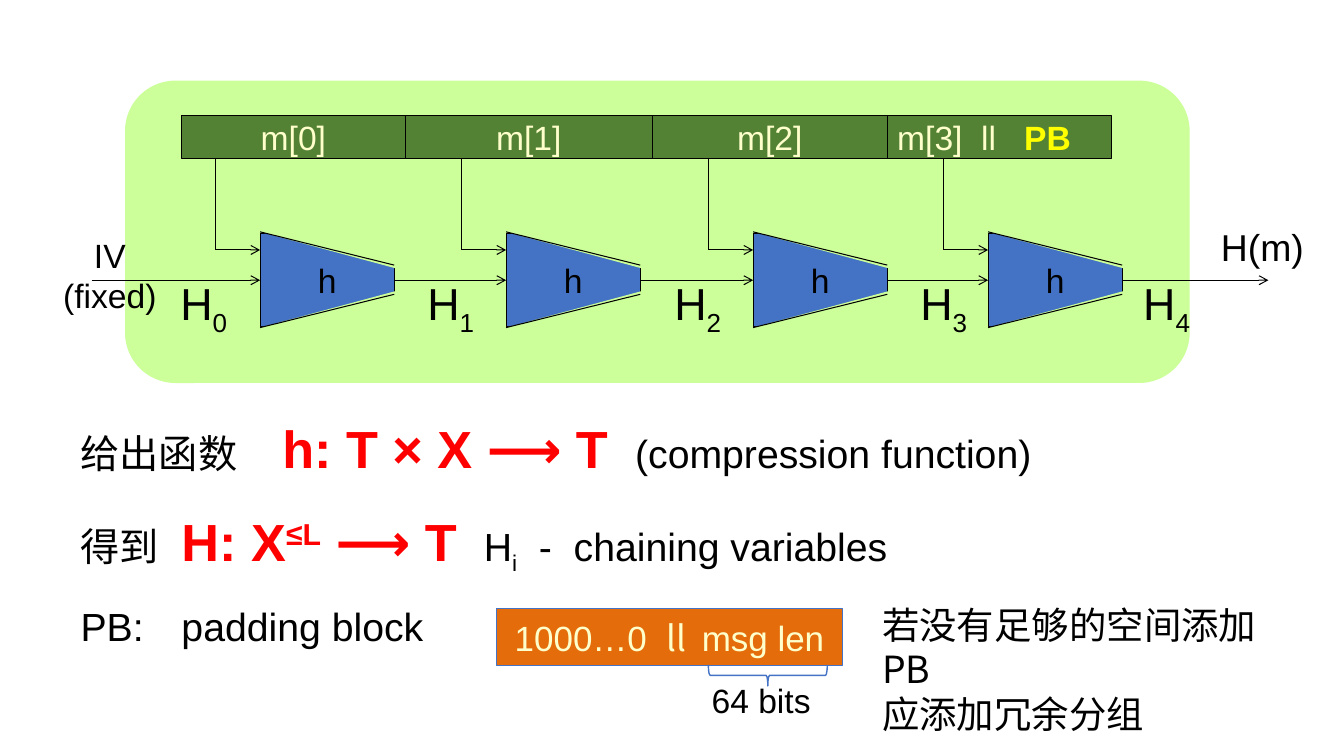
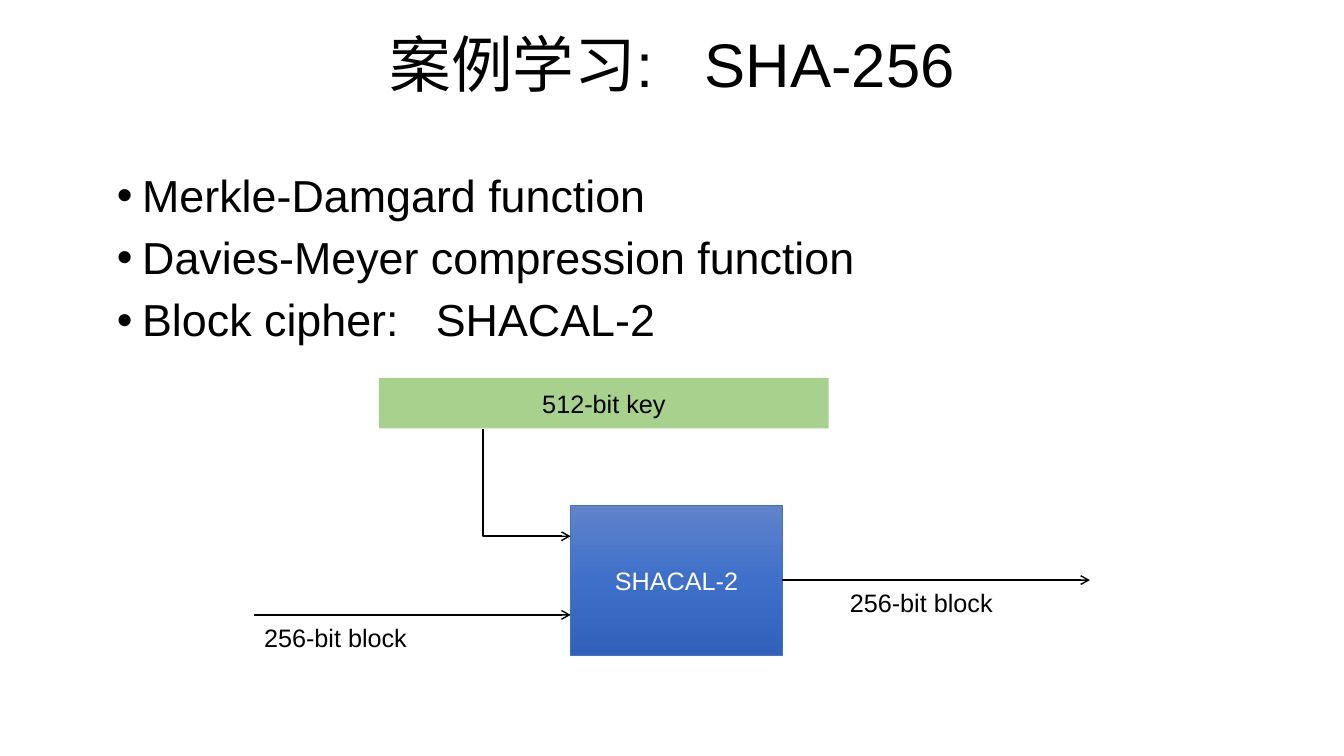
from copy import deepcopy

from lxml import etree
from pptx import Presentation
from pptx.dml.color import RGBColor
from pptx.enum.shapes import MSO_CONNECTOR as Line, MSO_SHAPE as Shape
from pptx.enum.text import MSO_ANCHOR as Anchor, MSO_AUTO_SIZE as AutoSize, PP_ALIGN as Align
from pptx.oxml.ns import qn
from pptx.util import Inches, Pt

LATIN, CJK = "Arial", "Noto Sans CJK SC"
BLACK = RGBColor(0, 0, 0)
WHITE = RGBColor(0xFF, 0xFF, 0xFF)
RED = RGBColor(0xFF, 0, 0)
YELLOW = RGBColor(0xFF, 0xFF, 0)
CREAM = RGBColor(0xFF, 0xFF, 0xCC)
LIME = RGBColor(0xCC, 0xFF, 0x99)
GREEN = RGBColor(0x54, 0x82, 0x35)
LIGHT_GREEN = RGBColor(0xA9, 0xD1, 0x8E)
ORANGE = RGBColor(0xE4, 0x6C, 0x0A)
BLUE = RGBColor(0x44, 0x72, 0xC4)
BLUE_SHADES = [RGBColor(0x61, 0x83, 0xCB), RGBColor(0x3E, 0x70, 0xCA), RGBColor(0x30, 0x62, 0xBB)]


# Shared helpers
def add_run(paragraph, text, size=24, color=BLACK, font=LATIN, bold=False, baseline=0):
    run = paragraph.add_run()
    run.text = text
    run.font.size, run.font.bold, run.font.name = Pt(size), bold, font
    run.font.color.rgb = color
    properties = run.font._element
    east_asian = etree.Element(qn("a:ea"), typeface=CJK)
    properties.find(qn("a:latin")).addnext(east_asian)
    if baseline:
        properties.set("baseline", str(baseline * 1000))


def write_text(shape, paragraphs, align=Align.LEFT, anchor=Anchor.TOP, wrap=False,
               line_spacing=None, space_before=0, bullet=None, tabs=(), **run_format):
    """Each paragraph is a string or a list of (text, format) runs; tabs go by paragraph."""
    frame = shape.text_frame
    frame.auto_size, frame.word_wrap, frame.vertical_anchor = AutoSize.NONE, wrap, anchor
    for index, runs in enumerate(paragraphs):
        paragraph = frame.paragraphs[0] if index == 0 else frame.add_paragraph()
        properties = paragraph._p.get_or_add_pPr()
        indent = Inches(0.25) if bullet else 0
        properties.set("marL", str(indent))
        properties.set("indent", str(-indent))
        if bullet:
            etree.SubElement(properties, qn("a:buChar"), char=bullet)
        else:
            etree.SubElement(properties, qn("a:buNone"))
        if tabs:
            tab_list = etree.SubElement(properties, qn("a:tabLst"))
            for position, kind in tabs[index]:
                etree.SubElement(tab_list, qn("a:tab"), pos=str(Inches(position)), algn=kind)
        paragraph.alignment = align
        paragraph.line_spacing = line_spacing
        paragraph.space_before = Pt(space_before if index else 0)
        for text, changes in [(runs, {})] if isinstance(runs, str) else runs:
            add_run(paragraph, text, **{**run_format, **changes})


def place(shape, left, top, width, height):
    shape.left, shape.top = Inches(left), Inches(top)
    shape.width, shape.height = Inches(width), Inches(height)


def add_label(slide, left, top, width, height, *paragraphs, **text_format):
    box = slide.shapes.add_textbox(Inches(left), Inches(top), Inches(width), Inches(height))
    write_text(box, paragraphs, **text_format)


def add_box(slide, kind, left, top, width, height, fill=None, line=None, line_width=0.75):
    shape = slide.shapes.add_shape(kind, Inches(left), Inches(top), Inches(width), Inches(height))
    shape.shadow.inherit = False
    if fill is None:
        shape.fill.background()
    else:
        shape.fill.solid()
        shape.fill.fore_color.rgb = fill
    if line is None:
        shape.line.fill.background()
    else:
        shape.line.color.rgb, shape.line.width = line, Pt(line_width)
    return shape


def add_text_box(slide, left, top, width, height, runs, fill, line=None, line_width=0.75,
                 align=Align.CENTER, **text_format):
    shape = add_box(slide, Shape.RECTANGLE, left, top, width, height, fill, line, line_width)
    write_text(shape, [runs], align=align, anchor=Anchor.MIDDLE, **text_format)
    return shape


def flip(shape, *axes):
    for axis in axes:
        shape._element.spPr.find(qn("a:xfrm")).set("flip" + axis, "1")


def add_line(slide, start, end, arrow=True, width=0.75, kind=Line.STRAIGHT):
    connector = slide.shapes.add_connector(kind, *map(Inches, (*start, *end)))
    connector.line.color.rgb, connector.line.width = BLACK, Pt(width)
    if arrow:
        etree.SubElement(connector.line._get_or_add_ln(), qn("a:tailEnd"), type="arrow")
    etree.SubElement(connector._element.spPr, qn("a:effectLst"))
    return connector


# Slide 1: iterated hash construction
def add_chain(slide, left, top):
    add_box(slide, Shape.ROUNDED_RECTANGLE, left, top, 10.56, 3, LIME)
    block_edges = [left + x for x in (0.56, 2.78, 5.23, 7.56, 9.78)]
    stage_lefts = [left + x for x in (1.34, 3.78, 6.23, 8.56)]
    block_top, block_height = top + 0.35, 0.42
    stage_top, stage_width, stage_height = top + 1.52, 1.33, 0.92
    chain_y = stage_top + stage_height / 2

    # Message blocks
    last_block = [("m[3]  ll   ", {}), ("PB", {"color": YELLOW, "bold": True})]
    for index, runs in enumerate(["m[0]", "m[1]", "m[2]", last_block]):
        start, end = block_edges[index:index + 2]
        add_text_box(slide, start, block_top, end - start, block_height, runs, GREEN, BLACK,
                     align=Align.LEFT if index == 3 else Align.CENTER, color=CREAM)

    # Compression stages, each fed by its block
    stages = []
    for x in stage_lefts:
        stages.append(add_text_box(slide, x, stage_top, stage_width, stage_height, "h", BLUE, BLACK))
        corner = (x - 0.44, top + 1.68)
        add_line(slide, (corner[0], block_top + block_height), corner, arrow=False)
        add_line(slide, corner, (x, corner[1]))

    # Chaining arrows
    starts = [left - 0.33] + [x + stage_width for x in stage_lefts]
    ends = stage_lefts + [left + 11.34]
    for index, (start, end) in enumerate(zip(starts, ends)):
        connector = add_line(slide, (start, chain_y), (end, chain_y))
        if index > 0:
            connector.begin_connect(stages[index - 1], 3)
        if index < len(stages):
            connector.end_connect(stages[index], 1)

    # Slanted edges that narrow each stage
    upper, lower, slant = top + 1.5, top + 2.45, 0.33
    for x in stage_lefts:
        for edge_y, triangle_top, rise, axes in ((upper, upper, slant, "HV"),
                                                 (lower, lower - 0.42, -slant, "H")):
            flip(add_box(slide, Shape.RIGHT_TRIANGLE, x, triangle_top, 1.56, 0.42, LIME), *axes)
            add_line(slide, (x, edge_y), (x + stage_width, edge_y + rise), arrow=False)

    # Labels
    add_label(slide, left - 0.73, top + 1.48, 1.16, 0.91, "IV", "(fixed)", align=Align.CENTER)
    add_label(slide, left + 10.77, top + 1.37, 1.05, 0.55, "H(m)", size=26.7)
    for index, x in enumerate([0.45, 2.9, 5.35, 7.79, 10]):
        add_label(slide, left + x, top + 1.89, 0.67, 0.64,
                  [("H", {}), (str(index), {"baseline": -25})], size=32)


def add_formulas(body, left, top):
    place(body, left, top, 11.89, 3.08)
    formula = {"size": 37.3, "color": RED, "bold": True}
    columns = [(2, "l"), (10.16, "r")]
    write_text(body, [
        [("给出函数\t", {"font": CJK}), ("h: T × X ⟶ T", formula), ("\t(compression function)", {})],
        [("得到\t", {"font": CJK}), ("H: X", formula), ("≤L", {**formula, "baseline": 30}),
         (" ⟶ T", formula), ("\tH", {}), ("i", {"baseline": -25}), ("  -  chaining variables", {})],
        "PB:\tpadding block",
    ], wrap=True, size=28, line_spacing=0.9, space_before=24.3,
        tabs=[columns, columns, [(1.06, "l")]])


def add_padding(slide, left, top):
    add_text_box(slide, left, top, 3.44, 0.56,
                 [("1000…0  ", {}), ("ll  ", {"font": CJK}), ("msg len", {})],
                 ORANGE, BLUE, 0.5, size=25, color=CREAM)
    brace = add_box(slide, Shape.RIGHT_BRACE, left + 2.59, top + 0.07, 0.21, 1.18,
                    line=BLUE, line_width=1)
    brace.rotation = 90
    add_label(slide, left + 2.04, top + 0.66, 1.23, 0.5, "64 bits")
    add_label(slide, left + 3.73, top - 0.12, 4.2, 1, "若没有足够的空间添加PB", "应添加冗余分组",
              size=26.7, font=CJK, wrap=True)


def build_construction(presentation):
    slide = presentation.slides.add_slide(presentation.slide_layouts[1])
    title = slide.shapes.title._element
    title.getparent().remove(title)
    add_formulas(slide.placeholders[1], 0.7, 4.15)
    add_chain(slide, 1.24, 0.8)
    add_padding(slide, 4.92, 6.04)


# Slide 2: SHA-256
def add_cipher(slide, left, top):
    key_height, cipher_left, cipher_top = 0.5, left + 3.14, top + 1.26
    add_text_box(slide, left + 1.24, top, 4.46, key_height, "512-bit key", LIGHT_GREEN, size=18)
    cipher = add_text_box(slide, cipher_left, cipher_top, 2.1, 1.49, "SHACAL-2", BLUE, BLUE, 0.5,
                          size=18, color=WHITE)

    # Three-stop vertical gradient
    cipher.fill.gradient()
    cipher.fill.gradient_angle = 270
    stop_list = cipher._element.spPr.find(qn("a:gradFill")).find(qn("a:gsLst"))
    stop_list.insert(1, deepcopy(stop_list[0]))
    for index, stop in enumerate(cipher.fill.gradient_stops):
        stop.position, stop.color.rgb = index / 2, BLUE_SHADES[index]

    # Key arrow: down, then right, as a turned one-bend connector
    start_x, start_y, end_y = left + 2.27, top + 0.51, top + 1.57
    across, down = cipher_left - start_x, end_y - start_y
    elbow = add_line(slide, (start_x, start_y), (cipher_left, end_y), width=1, kind=Line.ELBOW)
    place(elbow, start_x + (across - down) / 2, start_y + (down - across) / 2, down, across)
    elbow._element.spPr.find(qn("a:prstGeom")).set("prst", "bentConnector2")
    elbow._element.spPr.find(qn("a:xfrm")).set("rot", str(270 * 60000))
    flip(elbow, "H")

    # Block input and output
    input_y, output_y = top + 2.35, cipher_top + 1.49 / 2
    add_line(slide, (left, input_y), (cipher_left, input_y), width=1)
    output = add_line(slide, (cipher_left + 2.1, output_y), (left + 8.29, output_y), width=1)
    output.begin_connect(cipher, 3)
    for x, y in ((left, input_y), (left + 5.81, output_y)):
        add_label(slide, x, y + 0.02, 2.48, 0.6, "256-bit block", size=18)


def build_case_study(presentation):
    slide = presentation.slides.add_slide(presentation.slide_layouts[1])
    title, body = slide.shapes.title, slide.placeholders[1]
    place(title, 2.17, 0.2, 9, 0.94)
    write_text(title, [[("案例学习", {"font": CJK}), (":   SHA-256", {})]], size=44, wrap=True,
               align=Align.CENTER, anchor=Anchor.MIDDLE, line_spacing=0.9)
    place(body, 1.06, 1.67, 11.21, 2.47)
    write_text(body, ["Merkle-Damgard function", "Davies-Meyer compression function",
                      "Block cipher:   SHACAL-2"],
               size=32, wrap=True, bullet="•", line_spacing=0.9, space_before=10)
    add_cipher(slide, 2.52, 3.75)


def main():
    presentation = Presentation()
    presentation.slide_width, presentation.slide_height = Inches(13.33), Inches(7.5)
    build_construction(presentation)
    build_case_study(presentation)
    presentation.save("out.pptx")


if __name__ == "__main__":
    main()
